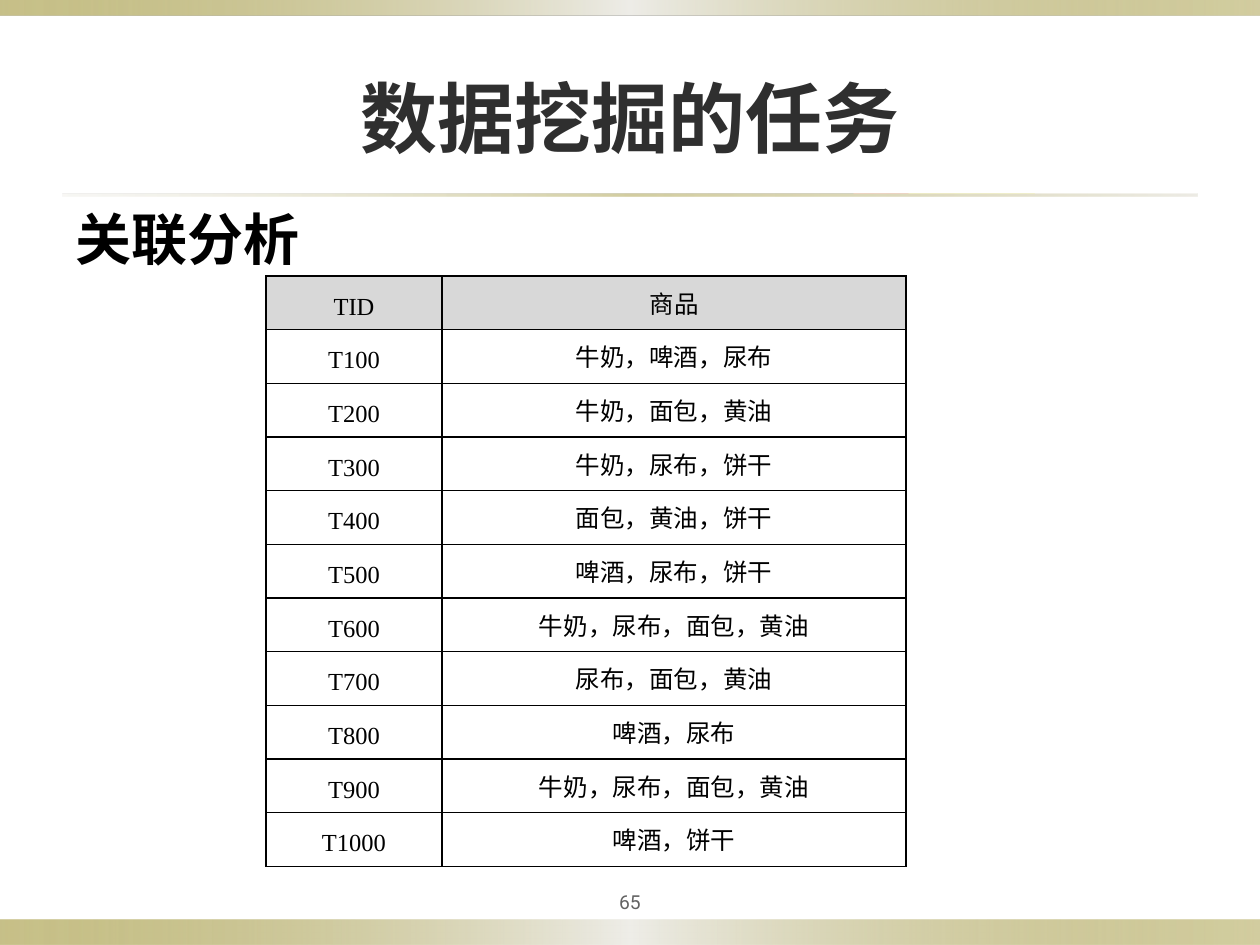
"""Build the association analysis slide with its transaction table."""
from lxml.etree import SubElement
from pptx import Presentation
from pptx.dml.color import RGBColor as RGB
from pptx.enum.shapes import MSO_SHAPE as Shape
from pptx.enum.text import MSO_ANCHOR as Anchor, MSO_AUTO_SIZE as Fit, PP_ALIGN as Align
from pptx.oxml.ns import qn
from pptx.util import Inches, Pt

HUES = {
    "gold": "918415", "pale": "EEEDE8", "sand": "DCD9CC", "head": "D8D8D8",
    "body": "FFFFFF", "title": "2F2F2F", "page": "636363", "ink": "000000",
}
BAND = [("gold", 50), ("pale", 100), ("gold", 40)]
RULE = [("sand", 20), ("gold", 40), ("sand", 50)]
ROWS = [
    ("TID", "商品"),
    ("T100", "牛奶，啤酒，尿布"),
    ("T200", "牛奶，面包，黄油"),
    ("T300", "牛奶，尿布，饼干"),
    ("T400", "面包，黄油，饼干"),
    ("T500", "啤酒，尿布，饼干"),
    ("T600", "牛奶，尿布，面包，黄油"),
    ("T700", "尿布，面包，黄油"),
    ("T800", "啤酒，尿布"),
    ("T900", "牛奶，尿布，面包，黄油"),
    ("T1000", "啤酒，饼干"),
]


def style(frame, size, face, hue, bold=False, align=Align.CENTER):
    frame.vertical_anchor = Anchor.MIDDLE
    for par in frame.paragraphs:
        par.alignment = align
        for run in par.runs:
            font = run.font
            font.size, font.name, font.bold = Pt(size), face, bold
            font.color.rgb = RGB.from_string(HUES[hue])


def tint(node, hue, share=100):
    color = SubElement(node, qn("a:srgbClr"), val=HUES[hue])
    if share < 100:
        SubElement(color, qn("a:alpha"), val=str(share * 1000))


deck = Presentation()
deck.slide_width, deck.slide_height = Inches(10), Inches(7.5)
wide, high = deck.slide_width, deck.slide_height
edge = wide // 20
slide = deck.slides.add_slide(deck.slide_layouts[5])
shapes = slide.shapes

for left, top, tall, stops in [
    (0, 7.3, 0.2, BAND),
    (0, 0, 0.12, BAND),
    (edge, 1.54, 0.02, RULE),
]:
    bar = shapes.add_shape(Shape.RECTANGLE, left, Inches(top), wide - 2 * left, Inches(tall))
    bar.shadow.inherit = False
    bar.line.fill.background()
    bar.fill.gradient()
    bar.fill.gradient_angle = 0
    ramp = bar.element.spPr.find(".//" + qn("a:gsLst"))
    for old in list(ramp):
        ramp.remove(old)
    for i, (hue, share) in enumerate(stops):
        tint(SubElement(ramp, qn("a:gs"), pos=str(i * 50000)), hue, share)

page = shapes.add_textbox(wide * 9 // 20, Inches(7), wide // 10, Inches(0.31)).text_frame
page.word_wrap = True
page.margin_left = page.margin_right = Inches(0.05)
page.text = "65"
style(page, 11, "Roboto", "page")

topic = shapes.add_textbox(edge, Inches(1.57), wide // 5, Inches(0.64)).text_frame
topic.word_wrap = False
topic.auto_size = Fit.SHAPE_TO_FIT_TEXT
topic.text = "关联分析"
style(topic, 32, "Arial", "ink", True, Align.LEFT)

title = shapes.title
title.left, title.top = edge, high // 25
title.width, title.height = wide - 2 * edge, high // 6
title.text_frame.text = "数据挖掘的任务"
style(title.text_frame, 44, "Roboto", "title", True)

pitch = Inches(4.69) // len(ROWS)
grid = shapes.add_table(
    len(ROWS), 2, Inches(2.11), Inches(2.19), Inches(5.08), pitch * len(ROWS)
).table
for col, width in zip(grid.columns, (1.4, 3.68)):
    col.width = Inches(width)
for r, texts in enumerate(ROWS):
    grid.rows[r].height = pitch
    for c, text in enumerate(texts):
        cell = grid.cell(r, c)
        cell.margin_left = cell.margin_right = Inches(0.07)
        cell.margin_top = cell.margin_bottom = 0
        cell.vertical_anchor = Anchor.MIDDLE
        cell.text_frame.text = text
        style(cell.text_frame, 14, "Times New Roman", "ink")
        cell.text_frame.paragraphs[0].line_spacing = Pt(20)
        props = cell._tc.get_or_add_tcPr()
        for side in ("lnL", "lnR", "lnT", "lnB"):
            line = SubElement(props, qn("a:" + side), w=str(Pt(1)))
            tint(SubElement(line, qn("a:solidFill")), "ink")
        cell.fill.solid()
        cell.fill.fore_color.rgb = RGB.from_string(HUES["body" if r else "head"])

deck.save("out.pptx")
